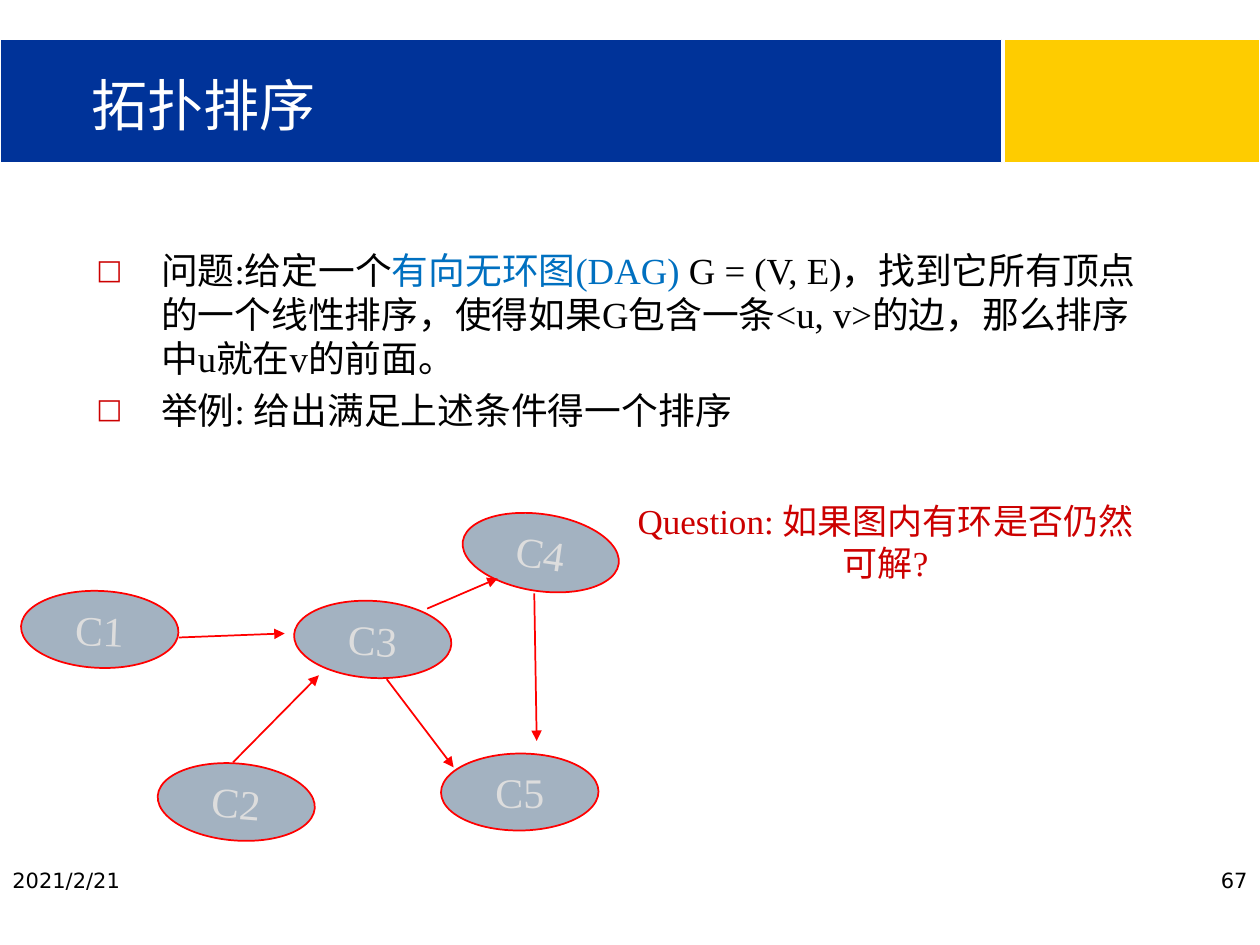
import pptx
import pptx.dml.color
import pptx.enum.shapes
import pptx.enum.text
import pptx.oxml.ns
import pptx.util
from lxml import etree

Pt = pptx.util.Pt
RGB = pptx.dml.color.RGBColor.from_string
SHAPE = pptx.enum.shapes.MSO_SHAPE
ALIGN = pptx.enum.text.PP_ALIGN
ANCHOR = pptx.enum.text.MSO_ANCHOR
qn = pptx.oxml.ns.qn

COLORS = {
    "blue": "003399", "yellow": "FECC00", "white": "FFFFFF", "black": "000000",
    "term": "0070C0", "crimson": "CC0000", "red": "FF0000",
    "node": "A3B2C1", "label": "DDDDDD",
}
SERIF, SANS = "Times New Roman", "DejaVu Sans"

prs = pptx.Presentation()
prs.slide_width, prs.slide_height = Pt(720), Pt(540)
s = prs.slides.add_slide(prs.slide_layouts[6])


def write(sp, paragraphs, size, color="black", font=SERIF, align=ALIGN.LEFT,
          anchor=ANCHOR.TOP, wrap=True, bullet=None, before=0):
    """Fill a shape; each paragraph is a list of (text, color) runs or a string."""
    tf = sp.text_frame
    tf.word_wrap, tf.vertical_anchor = wrap, anchor
    for i, runs in enumerate(paragraphs):
        p = tf.paragraphs[0] if i == 0 else tf.add_paragraph()
        p.alignment = align
        if i:
            p.space_before = Pt(before)
        if bullet:
            pPr = p._p.get_or_add_pPr()
            pPr.set("marL", str(Pt(37)))
            pPr.set("indent", str(-Pt(37)))
            clr = etree.SubElement(pPr, qn("a:buClr"))
            etree.SubElement(clr, qn("a:srgbClr"), val=COLORS["crimson"])
            etree.SubElement(pPr, qn("a:buSzPct"), val="75000")
            etree.SubElement(pPr, qn("a:buFont"), typeface=SANS)
            etree.SubElement(pPr, qn("a:buChar"), char=bullet)
        for text, run_color in [(runs, color)] if isinstance(runs, str) else runs:
            r = p.add_run()
            r.text = text
            r.font.size, r.font.name = Pt(size), font
            r.font.color.rgb = RGB(COLORS[run_color])


def add_shape(kind, x, y, w, h, fill, line, width):
    sp = s.shapes.add_shape(kind, Pt(x), Pt(y), Pt(w), Pt(h))
    sp.shadow.inherit = False
    sp.fill.solid()
    sp.fill.fore_color.rgb = RGB(COLORS[fill])
    sp.line.color.rgb = RGB(COLORS[line])
    sp.line.width = Pt(width)
    return sp


# Header band
for x, w, fill in [(574, 146, "yellow"), (0, 572.4, "blue")]:
    add_shape(SHAPE.RECTANGLE, x, 22.5, w, 70.5, fill, "white", 0.75)

# Title, body, footer and question
problem = [
    ("问题:给定一个", "black"),
    ("有向无环图(DAG) ", "term"),
    ("G = (V, E)，找到它所有顶点的一个线性排序，使得如果G包含一条<u, v>的边，"
     "那么排序中u就在v的前面。", "black"),
]
texts = [
    ((45.4, 23.8, 675, 58.3), ["拓扑排序"],
     dict(size=32, color="white", anchor=ANCHOR.BOTTOM)),
    ((48, 138, 612, 324), [problem, "举例: 给出满足上述条件得一个排序"],
     dict(size=21, bullet="□", before=4.2)),
    ((564, 492, 156, 37.5), ["67"], dict(size=12, font=SANS, align=ALIGN.RIGHT)),
    ((0, 492, 156, 37.5), ["2021/2/21"], dict(size=12, font=SANS)),
    ((348, 282, 316, 55.7), ["Question: 如果图内有环是否仍然可解?"],
     dict(size=20, color="crimson", align=ALIGN.CENTER)),
]
for box, paragraphs, style in texts:
    write(s.shapes.add_textbox(*map(Pt, box)), paragraphs, **style)

# Graph nodes: name, left, top, rotation
nodes = [
    ("C1", 12, 337.7, 2.3), ("C3", 168, 343.4, 3.5), ("C2", 90, 436.3, 4.7),
    ("C5", 252, 430.6, -0.4), ("C4", 264, 293.8, 8.3),
]
for name, x, y, rotation in nodes:
    sp = add_shape(SHAPE.OVAL, x, y, 90, 44, "node", "red", 1)
    sp.rotation = rotation
    write(sp, [name], 24, "label", align=ALIGN.CENTER, anchor=ANCHOR.MIDDLE, wrap=False)

# Graph edges, each pointing at its second end
edges = [
    (244.1, 347.8, 284.4, 330.5),  # C3 to C4
    (102.2, 364.3, 162.7, 362),    # C1 to C3
    (221, 388.1, 259.2, 438.5),    # C3 to C5
    (133.2, 435.6, 182.2, 385.9),  # C2 to C3
    (305.3, 339.1, 306.7, 423.4),  # C4 to C5
]
for ends in edges:
    edge = s.shapes.add_connector(pptx.enum.shapes.MSO_CONNECTOR.STRAIGHT, *map(Pt, ends))
    edge.line.color.rgb = RGB(COLORS["red"])
    edge.line.width = Pt(1)
    etree.SubElement(edge.line._get_or_add_ln(), qn("a:tailEnd"), type="triangle")
    etree.SubElement(edge._element.spPr, qn("a:effectLst"))

prs.save("out.pptx")
